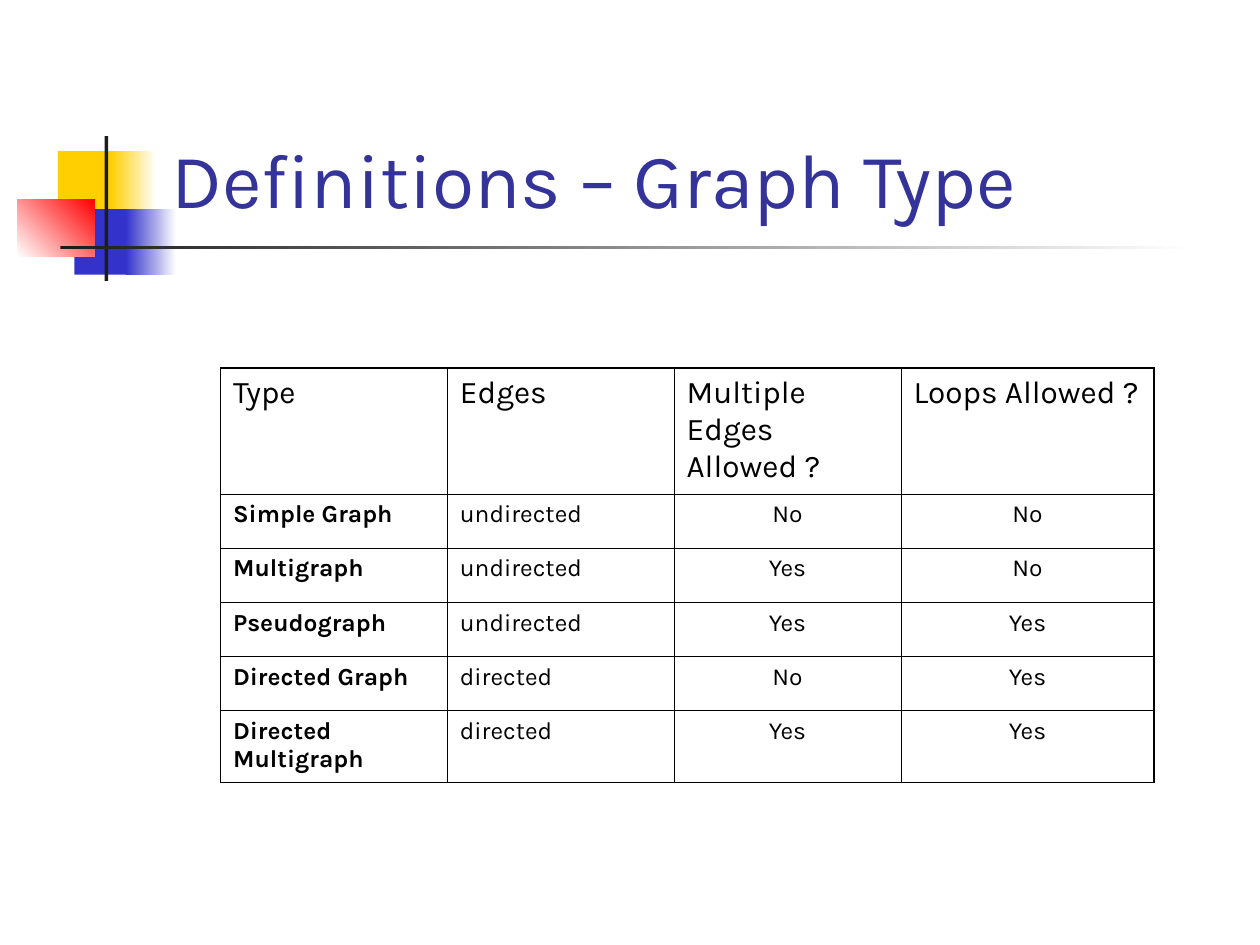
"""Build the graph type definitions slide with its comparison table."""
from dataclasses import dataclass

from lxml.etree import SubElement
from pptx import Presentation
from pptx.dml.color import RGBColor as RGB
from pptx.enum.shapes import MSO_SHAPE as SHAPE
from pptx.enum.text import MSO_ANCHOR as ANCHOR, MSO_AUTO_SIZE as AUTO, PP_ALIGN as ALIGN
from pptx.oxml.ns import qn
from pptx.util import Inches, Pt


@dataclass(frozen=True)
class Theme:
    font: str = "Karla"
    title: str = "333399"
    text: str = "000000"
    white: str = "FFFFFF"
    yellow: str = "FFCF01"
    blue: str = "3333CC"
    red: str = "FF0000"
    dark: str = "1C1C1C"
    title_size: int = 44
    header_size: int = 18
    body_size: int = 14
    outer_line: float = 1.08
    inner_line: float = 0.45


def set_font(p, size, color, bold=False):
    p.font.name = theme.font
    p.font.size = Pt(size)
    p.font.bold = bold
    p.font.color.rgb = RGB.from_string(color)


def add_border(cell, side, width):
    ln = SubElement(cell._tc.get_or_add_tcPr(), qn(f"a:ln{side}"), w=str(Pt(width)))
    fill = SubElement(ln, qn("a:solidFill"))
    SubElement(fill, qn("a:srgbClr"), val=theme.text)


theme = Theme()
prs = Presentation()
prs.slide_width, prs.slide_height = Inches(10), Inches(7.5)
s = prs.slides.add_slide(prs.slide_layouts[5])

decorations = [
    ((0.46, 1.2, 0.48, 0.52), [theme.yellow], 0),
    ((0.88, 1.2, 0.36, 0.52), [theme.yellow, theme.white], 0),
    ((0.59, 1.66, 0.46, 0.52), [theme.blue], 0),
    ((1, 1.66, 0.4, 0.52), [theme.blue, theme.white], 0),
    ((0.14, 1.58, 0.61, 0.46), [theme.white, theme.red], 45),
    ((0.83, 1.08, 0.03, 1.15), [theme.dark], 0),
    ((0.48, 1.95, 9, 0.03), [theme.dark, theme.white], 0),
]
for box, colors, angle in decorations:
    sp = s.shapes.add_shape(SHAPE.RECTANGLE, *map(Inches, box))
    sp.shadow.inherit = False
    sp.line.fill.background()
    if len(colors) == 1:
        sp.fill.solid()
        sp.fill.fore_color.rgb = RGB.from_string(colors[0])
    else:
        sp.fill.gradient()
        sp.fill.gradient_angle = angle
        for stop, color in zip(sp.fill.gradient_stops, colors):
            stop.color.rgb = RGB.from_string(color)

title = s.shapes.title
title.left, title.top, title.width, title.height = map(Inches, (1.26, 0.23, 8.52, 1.6))
s.shapes._spTree.append(title._element)
tf = title.text_frame
tf.text = "Definitions – Graph Type"
tf.word_wrap = True
tf.auto_size = AUTO.NONE
tf.vertical_anchor = ANCHOR.BOTTOM
p = tf.paragraphs[0]
p.alignment = ALIGN.LEFT
set_font(p, theme.title_size, theme.title)

rows = [
    ("Type", "Edges", "Multiple Edges Allowed ?", "Loops Allowed ?"),
    ("Simple Graph", "undirected", "No", "No"),
    ("Multigraph", "undirected", "Yes", "No"),
    ("Pseudograph", "undirected", "Yes", "Yes"),
    ("Directed Graph", "directed", "No", "Yes"),
    ("Directed Multigraph", "directed", "Yes", "Yes"),
]
widths = [1.8, 1.8, 1.8, 2.01]
heights = [1, 0.43, 0.43, 0.43, 0.43, 0.57]
last_row, last_col = len(rows) - 1, len(widths) - 1
table = s.shapes.add_table(len(rows), len(widths), Inches(1.75), Inches(2.92),
                           Inches(sum(widths)), Inches(sum(heights))).table
table.first_row = table.horz_banding = False
for col, width in zip(table.columns, widths):
    col.width = Inches(width)
for row, height in zip(table.rows, heights):
    row.height = Inches(height)

for i, values in enumerate(rows):
    for j, value in enumerate(values):
        cell = table.cell(i, j)
        cell.text = value
        p = cell.text_frame.paragraphs[0]
        p.alignment = ALIGN.CENTER if i and j > 1 else ALIGN.LEFT
        set_font(p, theme.body_size if i else theme.header_size, theme.text, i > 0 and j == 0)
        outer = {"L": j == 0, "R": j == last_col, "T": i == 0, "B": i == last_row}
        for side, is_outer in outer.items():
            add_border(cell, side, theme.outer_line if is_outer else theme.inner_line)
        cell.fill.background()

prs.save("out.pptx")
